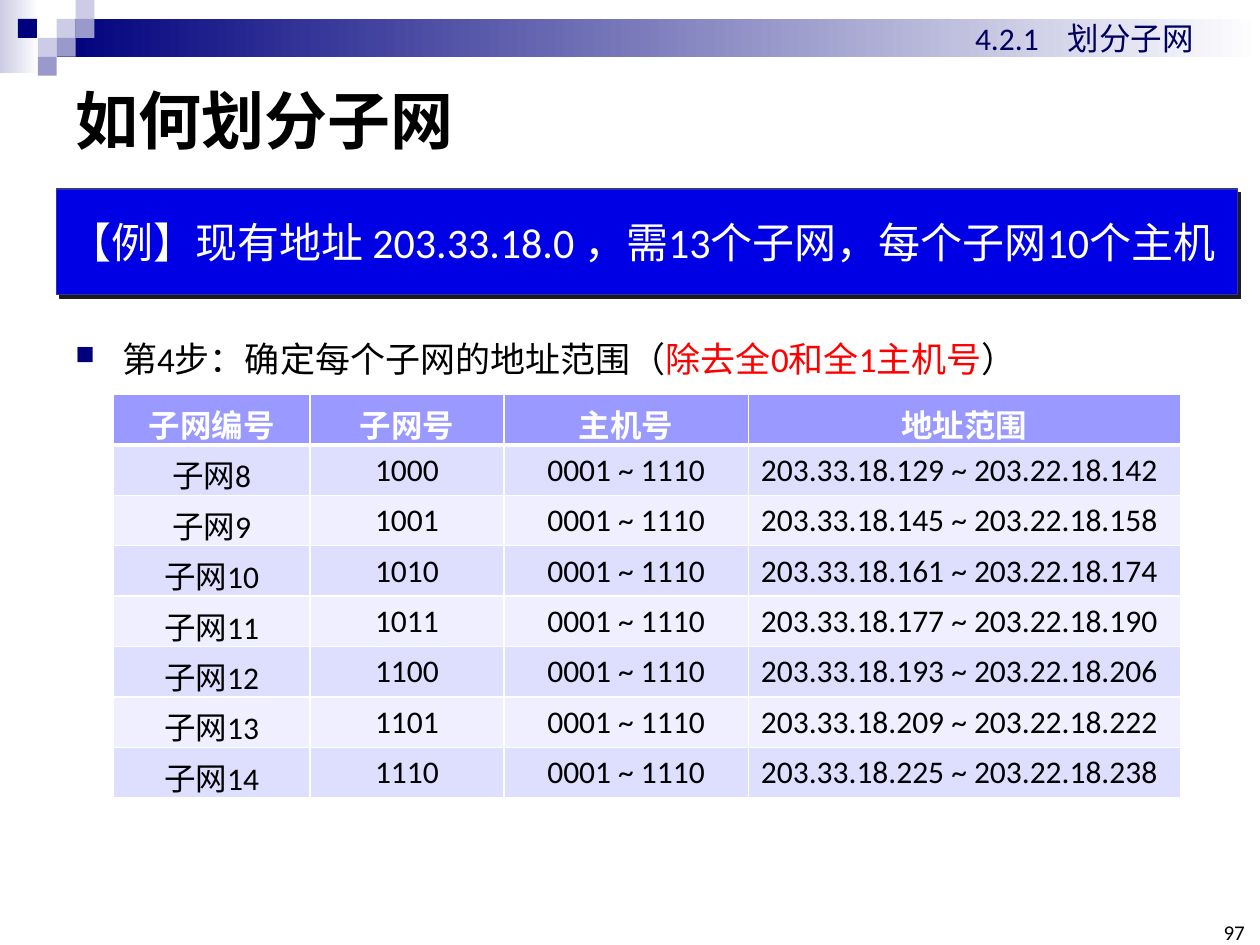
import dataclasses

import lxml.etree
import pptx
import pptx.dml.color
import pptx.enum.shapes
import pptx.enum.text
import pptx.oxml.ns
import pptx.util

ALIGN = pptx.enum.text.PP_ALIGN
ANCHOR = pptx.enum.text.MSO_ANCHOR
COLS, ROWS = 200, 150  # the slide as a grid of 0.05 inch cells


@dataclasses.dataclass(frozen=True)
class Theme:
    font: str = "Calibri"
    navy: str = "00007D"
    mist: str = "CCCCE6"
    haze: str = "9999CC"
    white: str = "FFFFFF"
    black: str = "000000"
    ink: str = "00005E"
    blue: str = "0000E4"
    edge: str = "333399"
    shade: str = "1C1C1C"
    red: str = "FF0000"
    head: str = "9999FF"
    bands: tuple = ("DEDEFF", "EFEFFF")
    title: int = 36
    lead: int = 24
    body: int = 20
    small: int = 18
    tiny: int = 12


THEME = Theme()


def span(cells):
    return pptx.util.Inches(cells * 0.05)


def color(code):
    return pptx.dml.color.RGBColor.from_string(code)


def apply(target, values):
    for name, value in values.items():
        setattr(target, name, value)


def node(parent, tag, **values):
    child = lxml.etree.SubElement(parent, pptx.oxml.ns.qn(tag))
    for name, value in values.items():
        child.set(name, str(value))
    return child


def paint(fill, code):
    fill.solid()
    fill.fore_color.rgb = color(code)


def write(frame, runs, size, bold=False, align=ALIGN.LEFT, **layout):
    """Fill the frame's first paragraph with (text, colour) runs."""
    apply(frame, {"word_wrap": True, **layout})
    para = frame.paragraphs[0]
    para.alignment = align
    for text, code in runs:
        run = para.add_run()
        run.text = text
        apply(run.font, {"name": THEME.font, "size": pptx.util.Pt(size), "bold": bold})
        run.font.color.rgb = color(code)
    return para


def label(slide, box, runs, size, **layout):
    shape = slide.shapes.add_textbox(*map(span, box))
    return write(shape.text_frame, runs, size, **layout)


def block(slide, box, *codes):
    """Add a plain rectangle; two colours make a left-to-right gradient."""
    kind = pptx.enum.shapes.MSO_SHAPE.RECTANGLE
    shape = slide.shapes.add_shape(kind, *map(span, box))
    shape.shadow.inherit = False
    shape.line.fill.background()
    if len(codes) == 1:
        paint(shape.fill, codes[0])
    else:
        shape.fill.gradient()
        shape.fill.gradient_angle = 0
        for stop, code in zip(shape.fill.gradient_stops, codes):
            stop.color.rgb = color(code)
    return shape


def draw_strip(slide, box):
    left, top, width, height = box
    unit = height / 4
    start = left + 2 * unit
    block(slide, (left, top, 6.2, 11.6), THEME.mist, THEME.white)
    block(slide, (start + unit, top + unit, width - start - unit, 2 * unit),
          THEME.navy, THEME.white)
    tiles = [(1, 1, THEME.mist), (2, 0, THEME.mist), (2, 1, THEME.haze),
             (0, 2, THEME.mist), (-1.05, 1, THEME.navy), (1, 2, THEME.haze),
             (0, 3, THEME.haze)]
    for col, row, code in tiles:
        block(slide, (start + col * unit, top + row * unit, unit, unit), code)


def draw_topic(slide, box):
    para = label(slide, box, [("4.2.1\t划分子网", THEME.ink)], THEME.small)
    tabs = node(para._p.get_or_add_pPr(), "a:tabLst")
    node(tabs, "a:tab", pos=span(14.7), algn="l")


def draw_banner(slide, box):
    shape = block(slide, box, THEME.blue)
    shape.line.color.rgb = color(THEME.edge)
    shape.line.width = pptx.util.Pt(0.75)
    effects = shape._element.spPr.find(pptx.oxml.ns.qn("a:effectLst"))
    shadow = node(effects, "a:outerShdw", dist=pptx.util.Pt(2.8), dir=45 * 60000,
                  algn="ctr", rotWithShape=0)
    node(shadow, "a:srgbClr", val=THEME.shade)
    text = "【例】现有地址 203.33.18.0 ，需13个子网，每个子网10个主机"
    write(shape.text_frame, [(text, THEME.white)], THEME.lead,
          vertical_anchor=ANCHOR.MIDDLE)


def draw_step(slide, box):
    runs = [("第4步：确定每个子网的地址范围（", THEME.black),
            ("除去全0和全1主机号", THEME.red), ("）", THEME.black)]
    para = label(slide, box, runs, THEME.body)
    apply(para, {"line_spacing": 1.5, "space_before": pptx.util.Pt(12)})
    props = para._p.get_or_add_pPr()
    props.set("marL", str(span(7.4)))
    props.set("indent", str(-span(7.4)))
    node(node(props, "a:buClr"), "a:srgbClr", val=THEME.navy)
    node(props, "a:buSzPct", val=75000)
    node(props, "a:buChar", char="■")


def rule(cell, row):
    """Draw white cell borders, thick between the header and the body."""
    props = cell._tc.get_or_add_tcPr()
    widths = {"L": 1, "R": 1, "T": 3 if row == 1 else 1, "B": 3 if row == 0 else 1}
    for side, width in widths.items():
        line = node(props, "a:ln" + side, w=pptx.util.Pt(width))
        node(node(line, "a:solidFill"), "a:srgbClr", val=THEME.white)


def draw_table(slide, box):
    data = [("子网编号", "子网号", "主机号", "地址范围")]
    for num in range(8, 15):
        base = num * 16
        data.append((f"子网{num}", f"{num:04b}", "0001 ~ 1110",
                     f"203.33.18.{base + 1} ~ 203.22.18.{base + 14}"))
    widths = (31.2, 30.8, 38.8, 68.6)
    frame = slide.shapes.add_table(len(data), len(widths), *map(span, box))
    table = frame.table
    table.horz_banding = False
    for column, width in zip(table.columns, widths):
        column.width = span(width)
    for row, texts in enumerate(data):
        first = row == 0
        for col, text in enumerate(texts):
            cell = table.cell(row, col)
            rule(cell, row)
            paint(cell.fill, THEME.head if first else THEME.bands[(row - 1) % 2])
            align = ALIGN.CENTER if first or col < 3 else ALIGN.LEFT
            code = THEME.white if first else THEME.black
            write(cell.text_frame, [(text, code)], THEME.small, first, align)


def main():
    deck = pptx.Presentation()
    apply(deck, {"slide_width": span(COLS), "slide_height": span(ROWS)})
    slide = deck.slides.add_slide(deck.slide_layouts[6])
    draw_strip(slide, (0, 0, COLS, 12))
    label(slide, (10, 10, 180, 17.8), [("如何划分子网", THEME.black)], THEME.title,
          bold=True, vertical_anchor=ANCHOR.MIDDLE)
    label(slide, (193, 146.6, 4.6, 3.4), [("97", THEME.black)], THEME.tiny,
          align=ALIGN.RIGHT, vertical_anchor=ANCHOR.BOTTOM, margin_left=0,
          margin_right=0, margin_top=0, margin_bottom=0)
    draw_topic(slide, (152.8, 2, 39.4, 8))
    draw_banner(slide, (9, 30, 187.4, 16.8))
    draw_step(slide, (10, 49.2, 183, 10))
    draw_table(slide, (18, 62.6, 169.4, 64))
    deck.save("out.pptx")


if __name__ == "__main__":
    main()
